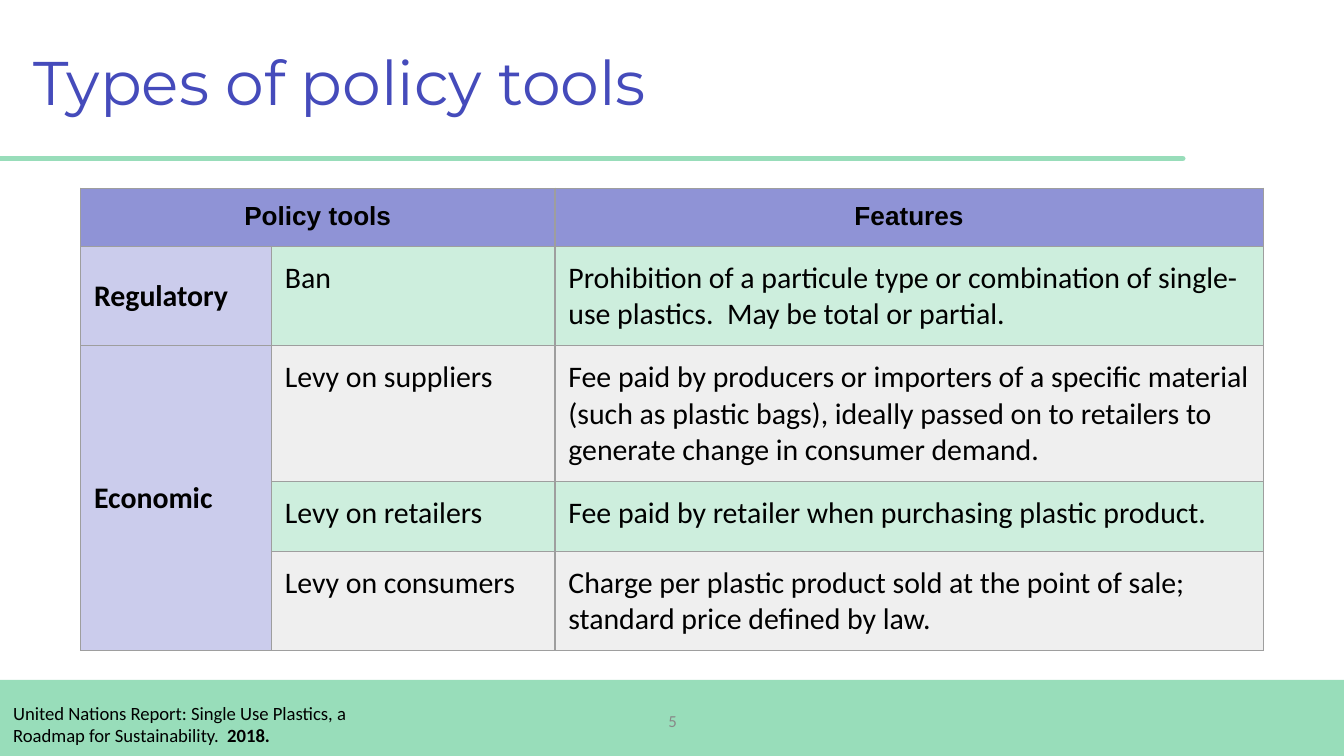
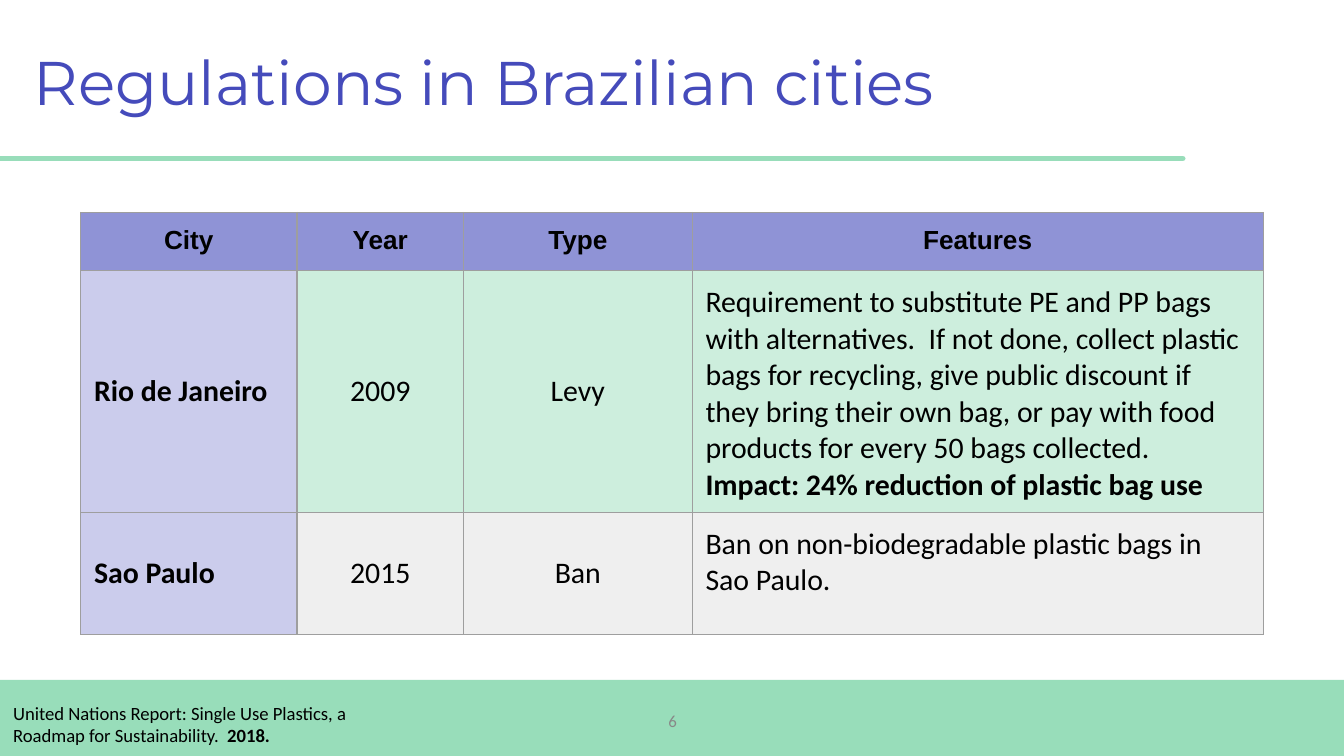
from lxml import etree
from pptx import Presentation
from pptx.dml.color import RGBColor
from pptx.enum.shapes import MSO_CONNECTOR, MSO_SHAPE
from pptx.enum.text import MSO_ANCHOR, MSO_AUTO_SIZE, PP_ALIGN
from pptx.oxml import parse_xml
from pptx.oxml.ns import nsdecls, qn
from pptx.util import Inches, Pt

LEFT, CENTER = PP_ALIGN.LEFT, PP_ALIGN.CENTER
TOP, MIDDLE = MSO_ANCHOR.TOP, MSO_ANCHOR.MIDDLE
NO_FIT, GROW = MSO_AUTO_SIZE.NONE, MSO_AUTO_SIZE.SHAPE_TO_FIT_TEXT
RECT, STRAIGHT = MSO_SHAPE.RECTANGLE, MSO_CONNECTOR.STRAIGHT

THEME = {
    "purple": "454BBB", "green": "98DDBA", "gray": "EFEFEF",
    "border": "9E9E9E", "number": "888888", "black": "000000",
    "title": ("Montserrat", 33), "header": ("Arial", 14), "body": ("Calibri", 16),
    "source": ("Calibri", 10), "page": ("Calibri", 9),
}

# Content: centered lists the body columns set in the middle of their cells
SLIDES = [
    {
        "number": "5", "title": "Types of policy tools", "top": 1.4,
        "cols": [1.42, 2.11, 5.27], "rows": [0.42, 0.74, 1.01, 0.52, 0.74],
        "centered": [], "merges": [((0, 0), (0, 1)), ((2, 0), (4, 0))],
        "cells": [
            ["Policy tools", "", "Features"],
            ["Regulatory", "Ban",
             "Prohibition of a particule type or combination of single-use plastics.  "
             "May be total or partial."],
            ["Economic", "Levy on suppliers",
             "Fee paid by producers or importers of a specific material (such as plastic "
             "bags), ideally passed on to retailers to generate change in consumer demand."],
            ["", "Levy on retailers", "Fee paid by retailer when purchasing plastic product."],
            ["", "Levy on consumers",
             "Charge per plastic product sold at the point of sale; standard price "
             "defined by law."],
        ],
    },
    {
        "number": "6", "title": "Regulations in Brazilian cities", "top": 1.58,
        "cols": [1.61, 1.24, 1.7, 4.25], "rows": [0.43, 1.8, 0.91],
        "centered": [1, 2], "merges": [],
        "cells": [
            ["City", "Year", "Type", "Features"],
            ["Rio de Janeiro", "2009", "Levy",
             "Requirement to substitute PE and PP bags with alternatives.  If not done, "
             "collect plastic bags for recycling, give public discount if they bring their "
             "own bag, or pay with food products for every 50 bags collected.\n"
             "Impact: 24% reduction of plastic bag use"],
            ["Sao Paulo", "2015", "Ban", "Ban on non-biodegradable plastic bags in Sao Paulo."],
        ],
    },
]


def style_text(p, role, color, align=LEFT, bold=False):
    name, size = THEME[role]
    p.alignment = align
    p.font.name, p.font.size, p.font.bold = name, Pt(size), bold
    p.font.color.rgb = RGBColor.from_string(THEME[color])


def style_cell(cell, color, opacity):
    cell.margin_left = cell.margin_right = Inches(0.1)
    cell.margin_top = cell.margin_bottom = Inches(0.1)
    tcPr = cell._tc.get_or_add_tcPr()
    for side in "LRTB":
        tcPr.append(parse_xml(
            f'<a:ln{side} {nsdecls("a")} w="{Pt(0.75)}"><a:solidFill>'
            f'<a:srgbClr val="{THEME["border"]}"/></a:solidFill></a:ln{side}>'))
    cell.fill.solid()
    cell.fill.fore_color.rgb = RGBColor.from_string(THEME[color])
    if opacity < 100:
        clr = tcPr.find(qn("a:solidFill")).find(qn("a:srgbClr"))
        etree.SubElement(clr, qn("a:alpha")).set("val", str(opacity * 1000))


# 16:9 page
prs = Presentation()
prs.slide_width = Inches(10)
prs.slide_height = Inches(10) * 9 // 16

for data in SLIDES:
    s = prs.slides.add_slide(prs.slide_layouts[5])

    # Title
    title = s.shapes.title
    title.left, title.top = Inches(0.18), Inches(0.09)
    title.width, title.height = Inches(8.62), Inches(1.09)
    tf = title.text_frame
    tf.text = data["title"]
    tf.auto_size, tf.vertical_anchor = NO_FIT, MIDDLE
    tf.margin_left = tf.margin_right = Inches(0.07)
    tf.margin_top = tf.margin_bottom = Inches(0.04)
    tf.paragraphs[0].line_spacing = 0.9
    style_text(tf.paragraphs[0], "title", "purple")

    # Rule under the title
    rule = s.shapes.add_connector(STRAIGHT, 0, Inches(1.18), Inches(8.8), Inches(1.18))
    rule.line.color.rgb = RGBColor.from_string(THEME["green"])
    rule.line.width = Pt(3)
    spPr = rule._element.spPr
    spPr.find(qn("a:ln")).set("cap", "rnd")
    etree.SubElement(spPr, qn("a:effectLst"))

    # Footer band
    band = s.shapes.add_shape(RECT, 0, Inches(5.06), Inches(10), Inches(0.57))
    band.shadow.inherit = False
    band.fill.solid()
    band.fill.fore_color.rgb = RGBColor.from_string(THEME["green"])
    band.line.fill.background()

    # Slide number
    sp = s.shapes.add_textbox(Inches(3.88), Inches(5.21), Inches(2.25), Inches(0.3))
    tf = sp.text_frame
    tf.text = data["number"]
    tf.word_wrap, tf.vertical_anchor = True, MIDDLE
    tf.margin_left = tf.margin_right = Inches(0.07)
    tf.margin_top = tf.margin_bottom = Inches(0.04)
    style_text(tf.paragraphs[0], "page", "number", CENTER)

    # Source
    sp = s.shapes.add_textbox(0, Inches(5.12), Inches(3.01), Inches(0.54))
    tf = sp.text_frame
    tf.word_wrap, tf.auto_size = True, GROW
    tf.margin_left = tf.margin_right = Inches(0.1)
    tf.margin_top = tf.margin_bottom = Inches(0.1)
    p = tf.paragraphs[0]
    p.add_run().text = ("United Nations Report: Single Use Plastics, "
                        "a Roadmap for Sustainability.  ")
    r = p.add_run()
    r.text, r.font.bold = "2018.", True
    style_text(p, "source", "black")

    # Table
    cols, rows = data["cols"], data["rows"]
    table = s.shapes.add_table(len(rows), len(cols), Inches(0.6), Inches(data["top"]),
                               Inches(sum(cols)), Inches(sum(rows))).table
    table.first_row = table.horz_banding = False
    for column, width in zip(table.columns, cols):
        column.width = Inches(width)
    for row, height in zip(table.rows, rows):
        row.height = Inches(height)

    for i, texts in enumerate(data["cells"]):
        for j, text in enumerate(texts):
            cell = table.cell(i, j)
            cell.text = text
            header, label, centered = i == 0, j == 0, j in data["centered"]
            if header:
                style_cell(cell, "purple", 60)
            elif label:
                style_cell(cell, "purple", 28)
            elif i % 2:
                style_cell(cell, "green", 48)
            else:
                style_cell(cell, "gray", 100)
            cell.vertical_anchor = MIDDLE if not header and (label or centered) else TOP
            # A second paragraph in a cell states the impact, in bold
            for k, p in enumerate(cell.text_frame.paragraphs):
                style_text(p, "header" if header else "body", "black",
                           CENTER if header or centered else LEFT,
                           header or label or k > 0)
    for first, last in data["merges"]:
        table.cell(*first).merge(table.cell(*last))

prs.save("out.pptx")
